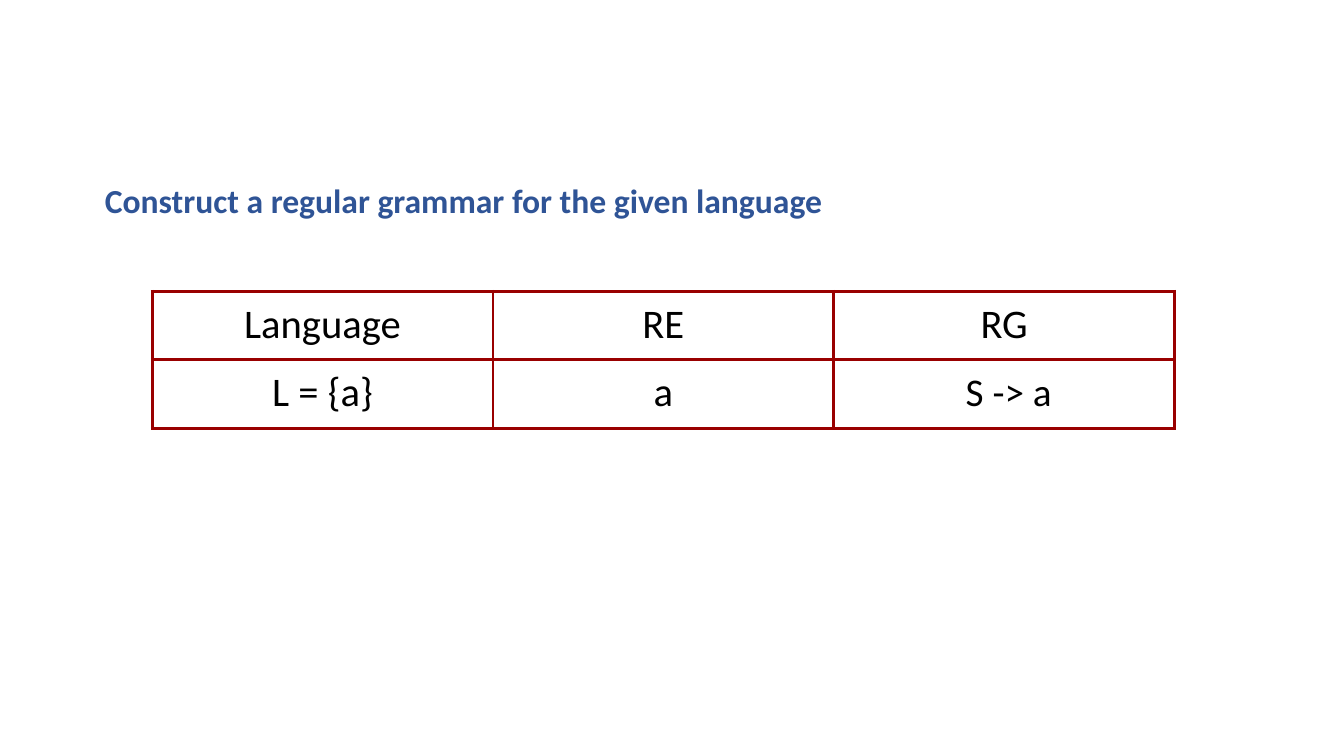
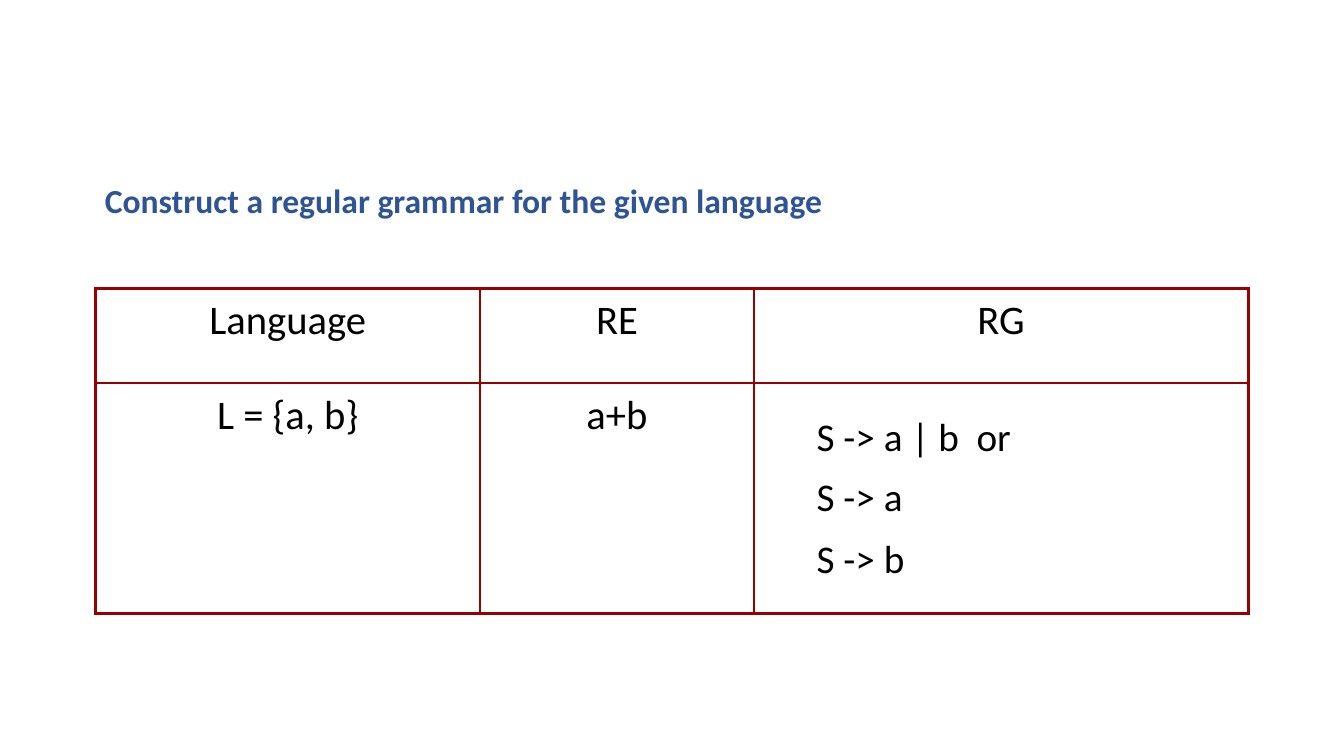
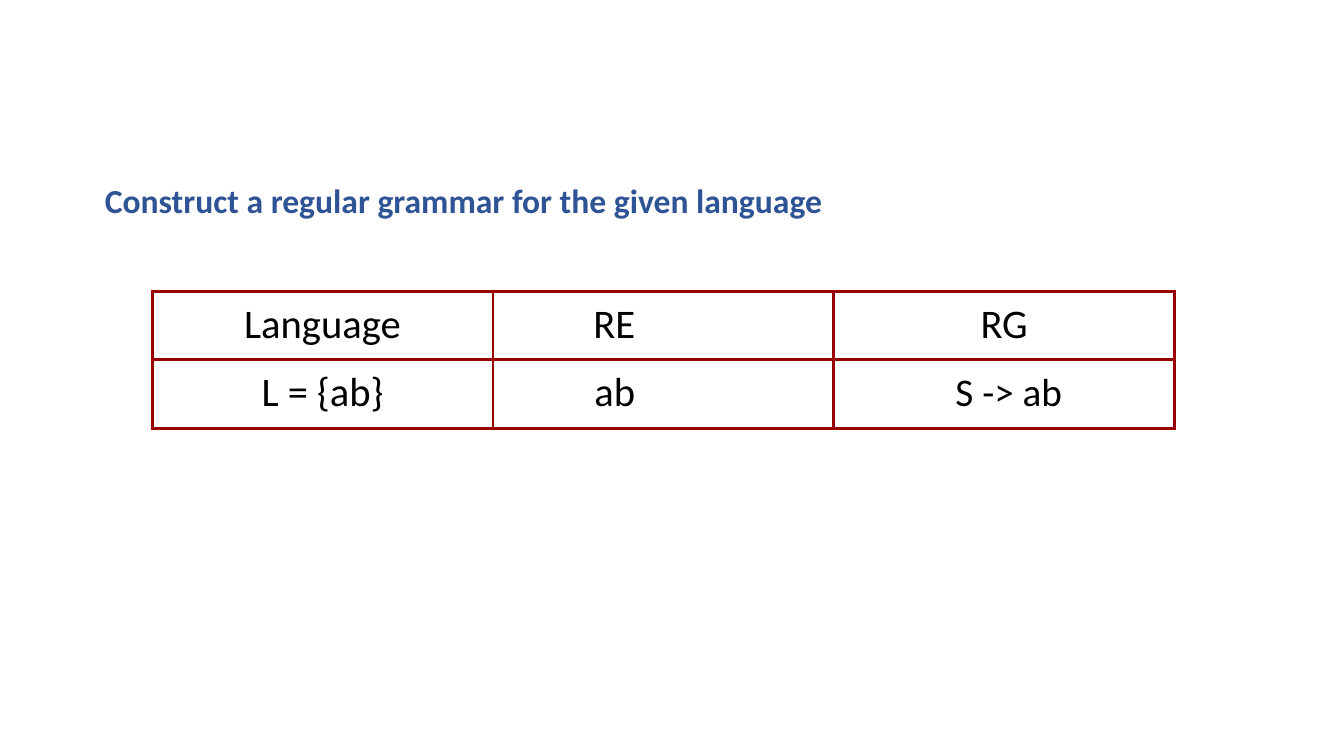
"""Build three slides that derive regular grammars from small languages."""
from dataclasses import dataclass

import lxml.etree
import pptx
import pptx.dml.color
import pptx.enum.text
import pptx.oxml.ns
import pptx.presentation
import pptx.slide
import pptx.table
import pptx.util

Inches = pptx.util.Inches
Pt = pptx.util.Pt
Align = pptx.enum.text.PP_ALIGN


@dataclass(frozen=True)
class Theme:
    font: str = "Calibri"
    title_color: str = "2F5496"
    text_color: str = "000000"
    border_color: str = "990000"
    title_size: float = 24
    cell_size: float = 29
    grammar_size: float = 28
    border_width: float = 2.25


@dataclass(frozen=True)
class Entry:
    lines: tuple[str, ...]
    size: float
    align: Align = Align.CENTER
    top: float = 0.08
    left: float = 0
    right: float = 0
    spacings: tuple[float, ...] = ()


@dataclass(frozen=True)
class GrammarTable:
    left: float
    top: float
    columns: tuple[float, ...]
    rows: tuple[float, ...]
    entries: tuple[tuple[Entry, ...], ...]


THEME = Theme()
TITLE = "Construct a regular grammar for the given language"
COMPACT_COLUMNS = (3.38,) * 3
COMPACT_ROWS = (0.68,) * 2


def label(text: str, align: Align = Align.CENTER, right: float = 0) -> Entry:
    return Entry((text,), THEME.cell_size, align, right=right)


def rule(text: str) -> Entry:
    return Entry((text,), THEME.grammar_size, top=0.09, left=0.09)


def compact_table(language: str, expression: Entry, grammar: str, heading: Entry) -> GrammarTable:
    entries = (
        (label("Language"), heading, label("RG")),
        (label(language), expression, rule(grammar)),
    )
    return GrammarTable(1.51, 2.89, COMPACT_COLUMNS, COMPACT_ROWS, entries)


TABLES = (
    compact_table("L = {a}", label("a"), "S -> a", label("RE")),
    GrammarTable(
        0.95, 2.86, (3.81, 2.72, 4.9), (0.94, 2.29),
        (
            (label("Language"), label("RE"), label("RG")),
            (
                label("L = {a, b}"),
                label("a+b"),
                Entry(
                    ("S -> a | b  or", "S -> a", "S -> b"), THEME.grammar_size, Align.LEFT,
                    top=0.17, left=0.62, spacings=(44.3, 42.6, 44.4),
                ),
            ),
        ),
    ),
    compact_table(
        "L = {ab}", label("ab", Align.RIGHT, 1.97), "S -> ab", label("RE", Align.RIGHT, 1.97)
    ),
)


def style_font(font: pptx.text.text.Font, size: float, color: str, bold: bool = False) -> None:
    font.name = THEME.font
    font.size = Pt(size)
    font.bold = bold
    font.color.rgb = pptx.dml.color.RGBColor.from_string(color)


def add_title(slide: pptx.slide.Slide) -> None:
    title = slide.shapes.title
    title.left, title.top = Inches(1.03), Inches(1.77)
    title.width, title.height = Inches(7.16), Inches(0.41)
    frame = title.text_frame
    frame.text = TITLE
    frame.word_wrap = True
    frame.auto_size = pptx.enum.text.MSO_AUTO_SIZE.SHAPE_TO_FIT_TEXT
    frame.vertical_anchor = pptx.enum.text.MSO_ANCHOR.TOP
    frame.margin_left = frame.margin_top = Inches(0.01)
    frame.margin_right = frame.margin_bottom = 0
    paragraph = frame.paragraphs[0]
    paragraph.alignment = Align.LEFT
    for run in paragraph.runs:
        style_font(run.font, THEME.title_size, THEME.title_color, bold=True)


def add_borders(cell: pptx.table._Cell) -> None:
    qualified = pptx.oxml.ns.qn
    properties = cell._tc.get_or_add_tcPr()
    for side in ("a:lnL", "a:lnR", "a:lnT", "a:lnB"):
        line = lxml.etree.SubElement(
            properties, qualified(side), w=str(Pt(THEME.border_width))
        )
        fill = lxml.etree.SubElement(line, qualified("a:solidFill"))
        lxml.etree.SubElement(fill, qualified("a:srgbClr"), val=THEME.border_color)


def fill_cell(cell: pptx.table._Cell, entry: Entry) -> None:
    add_borders(cell)
    cell.fill.background()
    cell.margin_left, cell.margin_right = Inches(entry.left), Inches(entry.right)
    cell.margin_top, cell.margin_bottom = Inches(entry.top), 0
    cell.vertical_anchor = pptx.enum.text.MSO_ANCHOR.TOP
    cell.text_frame.text = "\n".join(entry.lines)
    paragraphs = cell.text_frame.paragraphs
    for paragraph in paragraphs:
        paragraph.alignment = entry.align
        for run in paragraph.runs:
            style_font(run.font, entry.size, THEME.text_color)
    for paragraph, spacing in zip(paragraphs, entry.spacings):
        paragraph.line_spacing = Pt(spacing)


def add_grammar_table(slide: pptx.slide.Slide, grammar: GrammarTable) -> None:
    table = slide.shapes.add_table(
        len(grammar.rows), len(grammar.columns),
        Inches(grammar.left), Inches(grammar.top),
        Inches(sum(grammar.columns)), Inches(sum(grammar.rows)),
    ).table
    table.first_row = table.horz_banding = False
    for column, width in zip(table.columns, grammar.columns):
        column.width = Inches(width)
    for row, height, entries in zip(table.rows, grammar.rows, grammar.entries):
        row.height = Inches(height)
        for cell, entry in zip(row.cells, entries):
            fill_cell(cell, entry)


def main() -> None:
    presentation = pptx.Presentation()
    presentation.slide_width = Inches(13.33)
    presentation.slide_height = Inches(7.5)
    title_only = presentation.slide_layouts.get_by_name("Title Only")
    for grammar in TABLES:
        slide = presentation.slides.add_slide(title_only)
        add_title(slide)
        add_grammar_table(slide, grammar)
    presentation.save("out.pptx")


if __name__ == "__main__":
    main()
